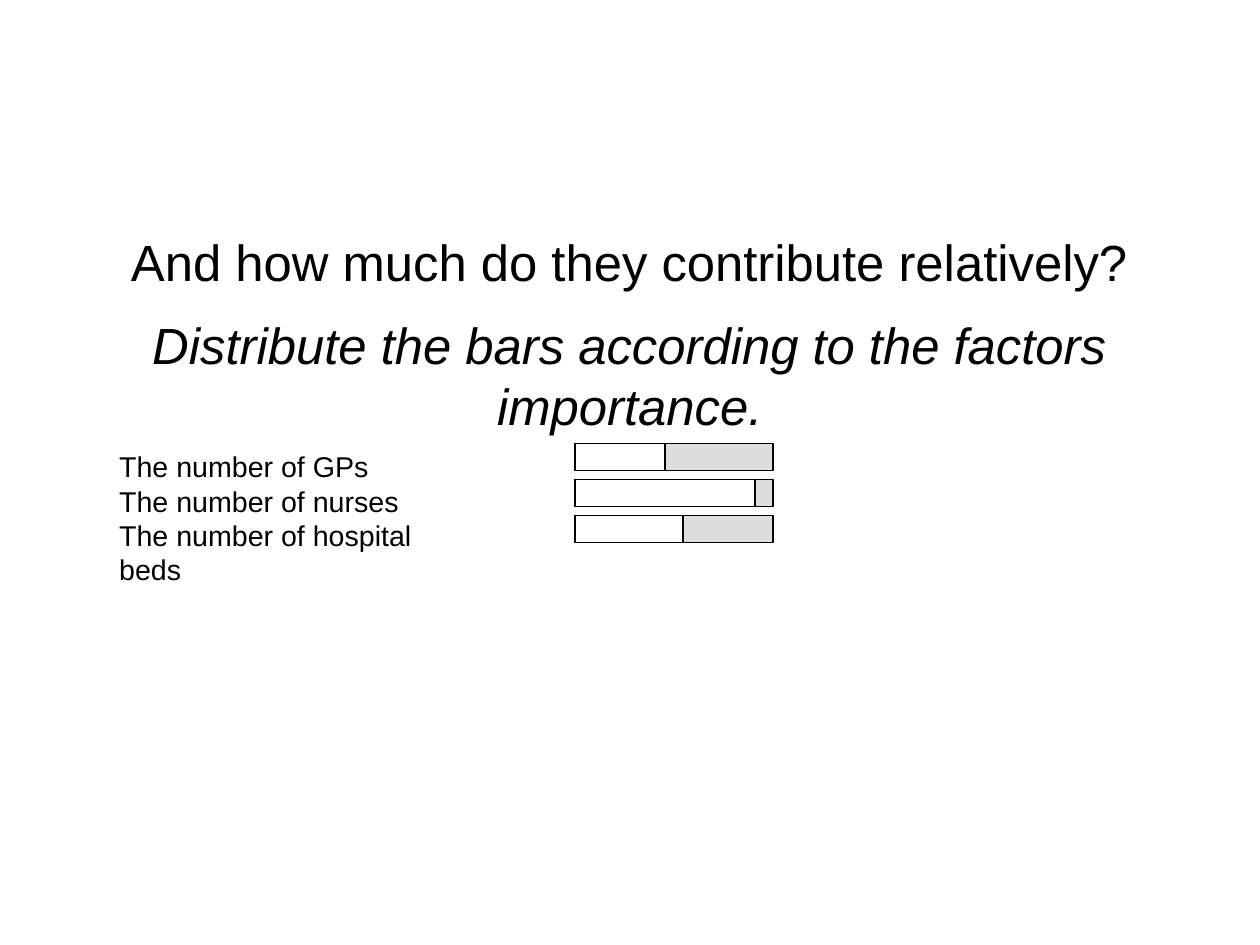
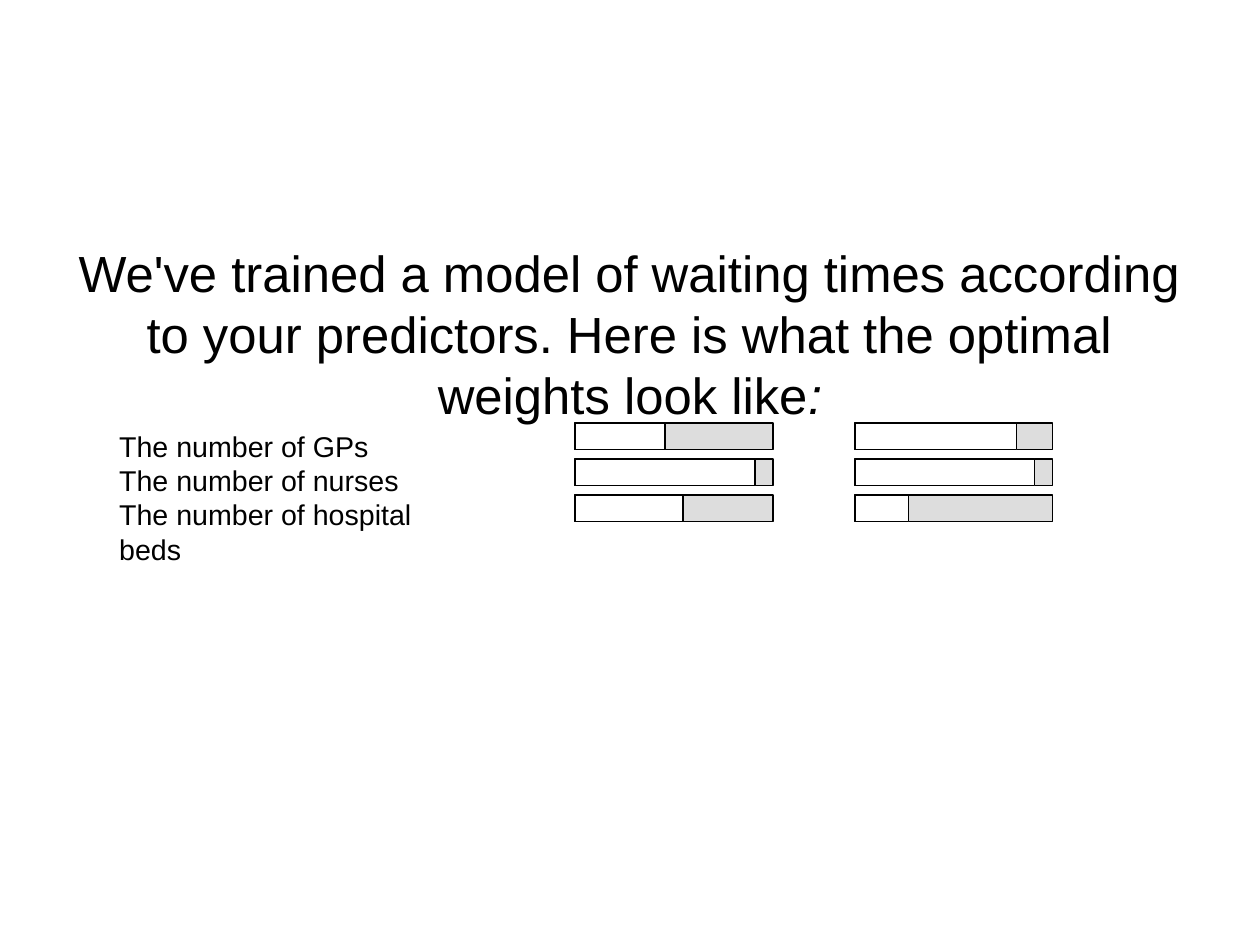
from pptx import Presentation
from pptx.dml.color import RGBColor
from pptx.enum.shapes import MSO_SHAPE
from pptx.enum.text import MSO_ANCHOR, MSO_AUTO_SIZE, PP_ALIGN
from pptx.util import Cm, Pt

RECTANGLE = MSO_SHAPE.RECTANGLE
MIDDLE = MSO_ANCHOR.MIDDLE
NO_AUTOFIT = MSO_AUTO_SIZE.NONE
CENTER = PP_ALIGN.CENTER
LEFT = PP_ALIGN.LEFT

BLACK = RGBColor(0x00, 0x00, 0x00)
WHITE = RGBColor(0xFF, 0xFF, 0xFF)
GREY = RGBColor(0xDD, 0xDD, 0xDD)
FONT = "Arial"
TITLE_ONLY_LAYOUT = 5

BAR_WIDTH = 4.4
BAR_HEIGHT = 0.6
BAR_PITCH = 0.8
LABEL_LEFT = 2.4
GUESS_LEFT = 12.78
OPTIMUM_LEFT = 19

FACTORS = ["The number of GPs", "The number of nurses", "The number of hospital beds"]
GUESSED_WEIGHTS = [2, 4, 2.4]
OPTIMAL_WEIGHTS = [3.6, 4, 1.2]


def add_text(paragraph, text, size=18, italic=False, align=LEFT, space_before=0):
    paragraph.alignment = align
    paragraph.space_before = Pt(space_before)
    run = paragraph.add_run()
    run.text = text
    run.font.name = FONT
    run.font.size = Pt(size)
    run.font.italic = italic
    run.font.color.rgb = BLACK


def next_paragraph(frame, index):
    return frame.paragraphs[0] if index == 0 else frame.add_paragraph()


def add_title(slide, paragraphs):
    title = slide.shapes.title
    title.left, title.top = Cm(1.4), Cm(0.8)
    title.width, title.height = Cm(25.2), Cm(13.2)
    frame = title.text_frame
    frame.word_wrap = True
    frame.auto_size = NO_AUTOFIT
    frame.vertical_anchor = MIDDLE
    frame.margin_left = frame.margin_right = 0
    frame.margin_top = frame.margin_bottom = 0
    for index, runs in enumerate(paragraphs):
        paragraph = next_paragraph(frame, index)
        for text, italic in runs:
            add_text(paragraph, text, size=32, italic=italic, align=CENTER, space_before=14.2)


def add_factor_labels(slide, top):
    box = slide.shapes.add_textbox(Cm(LABEL_LEFT), Cm(top), Cm(7.85), Cm(2.46))
    frame = box.text_frame
    frame.word_wrap = True
    for index, factor in enumerate(FACTORS):
        add_text(next_paragraph(frame, index), factor)


def add_bar(slide, left, top, width, color):
    bar = slide.shapes.add_shape(RECTANGLE, Cm(left), Cm(top), Cm(width), Cm(BAR_HEIGHT))
    bar.shadow.inherit = False
    bar.fill.solid()
    bar.fill.fore_color.rgb = color
    bar.line.color.rgb = BLACK
    bar.line.width = Pt(0)


def add_weight_bars(slide, left, top, weights):
    for row, weight in enumerate(weights):
        row_top = top + row * BAR_PITCH
        add_bar(slide, left, row_top, BAR_WIDTH, GREY)
        add_bar(slide, left, row_top, weight, WHITE)


def add_factor_slide(presentation, title, top, weight_columns):
    slide = presentation.slides.add_slide(presentation.slide_layouts[TITLE_ONLY_LAYOUT])
    add_title(slide, title)
    add_factor_labels(slide, top)
    for left, weights in weight_columns:
        add_weight_bars(slide, left, top, weights)


def main():
    presentation = Presentation()
    presentation.slide_width = Cm(28)
    presentation.slide_height = Cm(21)
    guess = (GUESS_LEFT, GUESSED_WEIGHTS)
    optimum = (OPTIMUM_LEFT, OPTIMAL_WEIGHTS)
    add_factor_slide(
        presentation,
        [
            [("And how much do they contribute relatively?", False)],
            [("Distribute the bars according to the factors importance.", True)],
        ],
        9.86,
        [guess],
    )
    add_factor_slide(
        presentation,
        [
            [
                ("We've trained a model of waiting times according to your predictors. "
                 "Here is what the optimal weights look like", False),
                (":", True),
            ],
        ],
        9.4,
        [guess, optimum],
    )
    presentation.save("out.pptx")


main()
